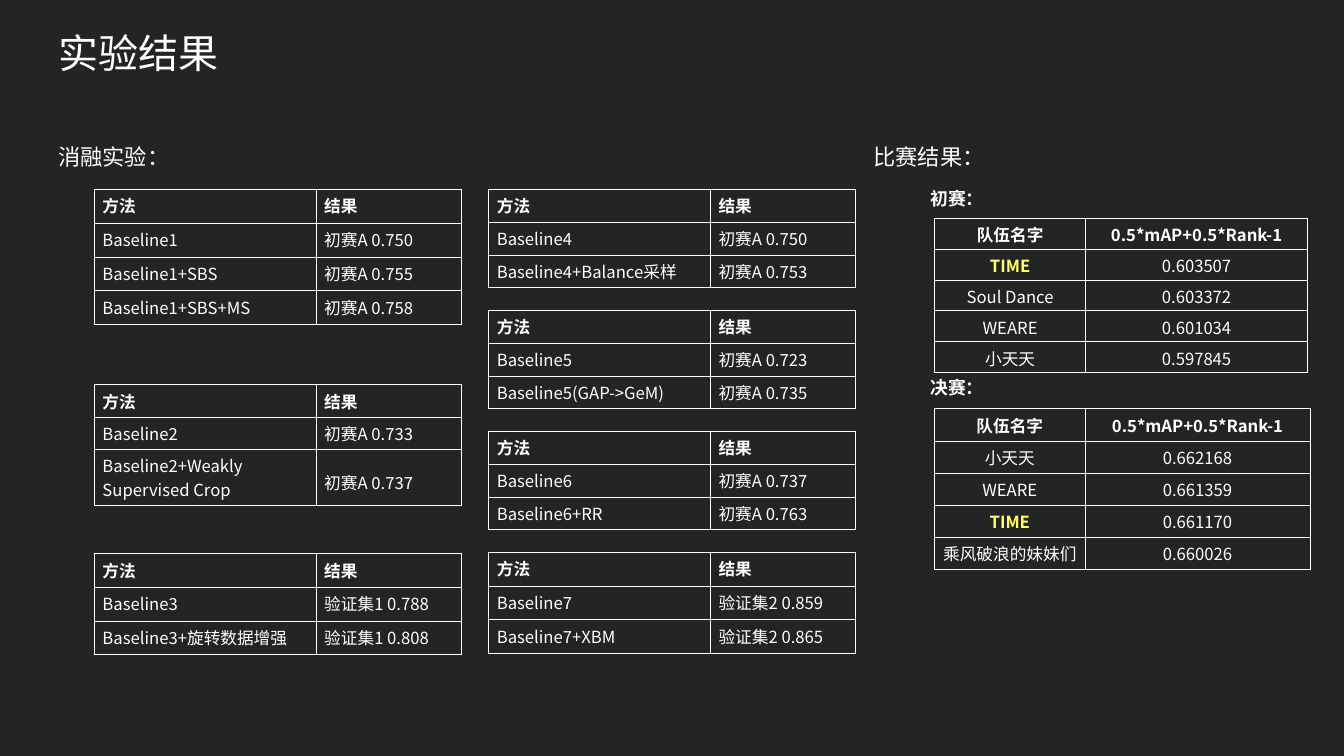
import pptx
import pptx.util
import pptx.dml.color
import pptx.enum.text
import pptx.oxml
import pptx.oxml.ns
from pptx.util import Cm

COLORS = {"bg": "232424", "text": "FFFFFF", "team": "FFFF66"}
CJK = "Noto Sans CJK SC"
ALIGN = pptx.enum.text.PP_ALIGN
ANCHOR = pptx.enum.text.MSO_ANCHOR
TITLE = {"size": pptx.util.Pt(36), "name": "Calibri", "bold": False}
HEADING = {"size": pptx.util.Pt(20), "name": CJK, "bold": False}
LABEL = {"size": pptx.util.Pt(16), "name": CJK, "bold": True}
CELL = {"size": pptx.util.Pt(15), "name": CJK, "bold": False}

METHOD_HEAD = ("方法", "结果")
TEAM_HEAD = ("队伍名字", "0.5*mAP+0.5*Rank-1")
OUR_TEAM = "TIME"

# Each ablation table: top within its column, row height, rows
LEFT_TABLES = [
    (1.96, 1.07, [("Baseline1", "初赛A 0.750"),
                  ("Baseline1+SBS", "初赛A 0.755"),
                  ("Baseline1+SBS+MS", "初赛A 0.758")]),
    (8.16, 1.02, [("Baseline2", "初赛A 0.733"),
                  ("Baseline2+Weakly Supervised Crop", "初赛A 0.737")]),
    (13.52, 1.07, [("Baseline3", "验证集1 0.788"),
                   ("Baseline3+旋转数据增强", "验证集1 0.808")]),
]
# Evenly stacked ablation tables: row height, rows
RIGHT_TABLES = [
    (1.04, [("Baseline4", "初赛A 0.750"),
            ("Baseline4+Balance采样", "初赛A 0.753")]),
    (1.04, [("Baseline5", "初赛A 0.723"),
            ("Baseline5(GAP->GeM)", "初赛A 0.735")]),
    (1.04, [("Baseline6", "初赛A 0.737"),
            ("Baseline6+RR", "初赛A 0.763")]),
    (1.07, [("Baseline7", "验证集2 0.859"),
            ("Baseline7+XBM", "验证集2 0.865")]),
]
# Each round: label, label top, table top, column widths, row height, rows
ROUNDS = [
    ("初赛：", 1.22, 2.87, (4.8, 7.04), 0.98, [
        (OUR_TEAM, "0.603507"), ("Soul Dance", "0.603372"),
        ("WEARE", "0.601034"), ("小天天", "0.597845")]),
    ("决赛：", 7.22, 8.92, (4.78, 7.14), 1.02, [
        ("小天天", "0.662168"), ("WEARE", "0.661359"),
        (OUR_TEAM, "0.661170"), ("乘风破浪的妹妹们", "0.660026")]),
]


def rgb(key):
    return pptx.dml.color.RGBColor.from_string(COLORS[key])


def write(p, text, fmt, color="text"):
    r = p.add_run()
    r.text = text
    for key, value in fmt.items():
        setattr(r.font, key, value)
    r.font.color.rgb = rgb(color)
    ea = pptx.oxml.parse_xml(
        f'<a:ea {pptx.oxml.ns.nsdecls("a")} typeface="{CJK}"/>')
    r.font._element.append(ea)


def add_text(s, box, text, fmt, spacing=None, anchor=ANCHOR.MIDDLE):
    tf = s.shapes.add_textbox(*map(Cm, box)).text_frame
    tf.word_wrap = True
    tf.vertical_anchor = anchor
    p = tf.paragraphs[0]
    p.line_spacing = spacing
    write(p, text, fmt)


def add_heading(s, left, top, text):
    add_text(s, (left, top, 8.08, 1.47), text, HEADING,
             pptx.util.Pt(34.4), ANCHOR.TOP)


def add_borders(cell):
    tcPr = cell._tc.get_or_add_tcPr()
    for side in ("lnL", "lnR", "lnT", "lnB"):
        tcPr.append(pptx.oxml.parse_xml(
            f'<a:{side} {pptx.oxml.ns.nsdecls("a")} w="12700"><a:solidFill>'
            f'<a:srgbClr val="{COLORS["text"]}"/></a:solidFill></a:{side}>'))


def add_grid(s, left, top, widths, height, rows, align=ALIGN.LEFT):
    tbl = s.shapes.add_table(
        len(rows), len(widths), Cm(left), Cm(top),
        Cm(sum(widths)), Cm(height * len(rows))).table
    tbl.horz_banding = False
    for col, width in zip(tbl.columns, widths):
        col.width = Cm(width)
    for i, row in enumerate(rows):
        tbl.rows[i].height = Cm(height)
        for j, text in enumerate(row):
            cell = tbl.cell(i, j)
            add_borders(cell)
            cell.fill.background()
            ours = text == OUR_TEAM
            p = cell.text_frame.paragraphs[0]
            p.alignment = align
            write(p, text, {**CELL, "bold": i == 0 or ours},
                  "team" if ours else "text")
    return tbl


def ablation(s, left, top):
    """Ablation heading with two columns of method tables."""
    add_heading(s, left, top, "消融实验：")
    widths = (7.04, 4.6)
    for dy, height, rows in LEFT_TABLES:
        tbl = add_grid(s, left + 1.4, top + dy, widths, height,
                       [METHOD_HEAD] + rows)
        # The wrapped method needs a two-line row with a lowered result
        if rows[0][0] == "Baseline2":
            tbl.rows[2].height = Cm(1.8)
            tbl.cell(2, 1).text_frame.paragraphs[0].line_spacing = 1.7
    for i, (height, rows) in enumerate(RIGHT_TABLES):
        add_grid(s, left + 13.92, top + 1.96 + 3.84 * i, widths, height,
                 [METHOD_HEAD] + rows)


def contest(s, left, top):
    """Contest heading with a labelled ranking per round."""
    add_heading(s, left, top, "比赛结果：")
    for label, label_dy, table_dy, widths, height, rows in ROUNDS:
        add_grid(s, left + 2.19, top + table_dy, widths, height,
                 [TEAM_HEAD] + rows, ALIGN.CENTER)
        add_text(s, (left + 1.81, top + label_dy, 2.64, 1.47),
                 label, LABEL, 1.8)


def main():
    prs = pptx.Presentation()
    prs.slide_width, prs.slide_height = Cm(42.67), Cm(24)
    s = prs.slides.add_slide(prs.slide_layouts[6])
    s.background.fill.solid()
    s.background.fill.fore_color.rgb = rgb("bg")
    add_text(s, (1.6, 0.85, 29.21, 1.65), "实验结果", TITLE)
    ablation(s, 1.6, 4.06)
    contest(s, 27.48, 4.06)
    prs.save("out.pptx")


if __name__ == "__main__":
    main()
